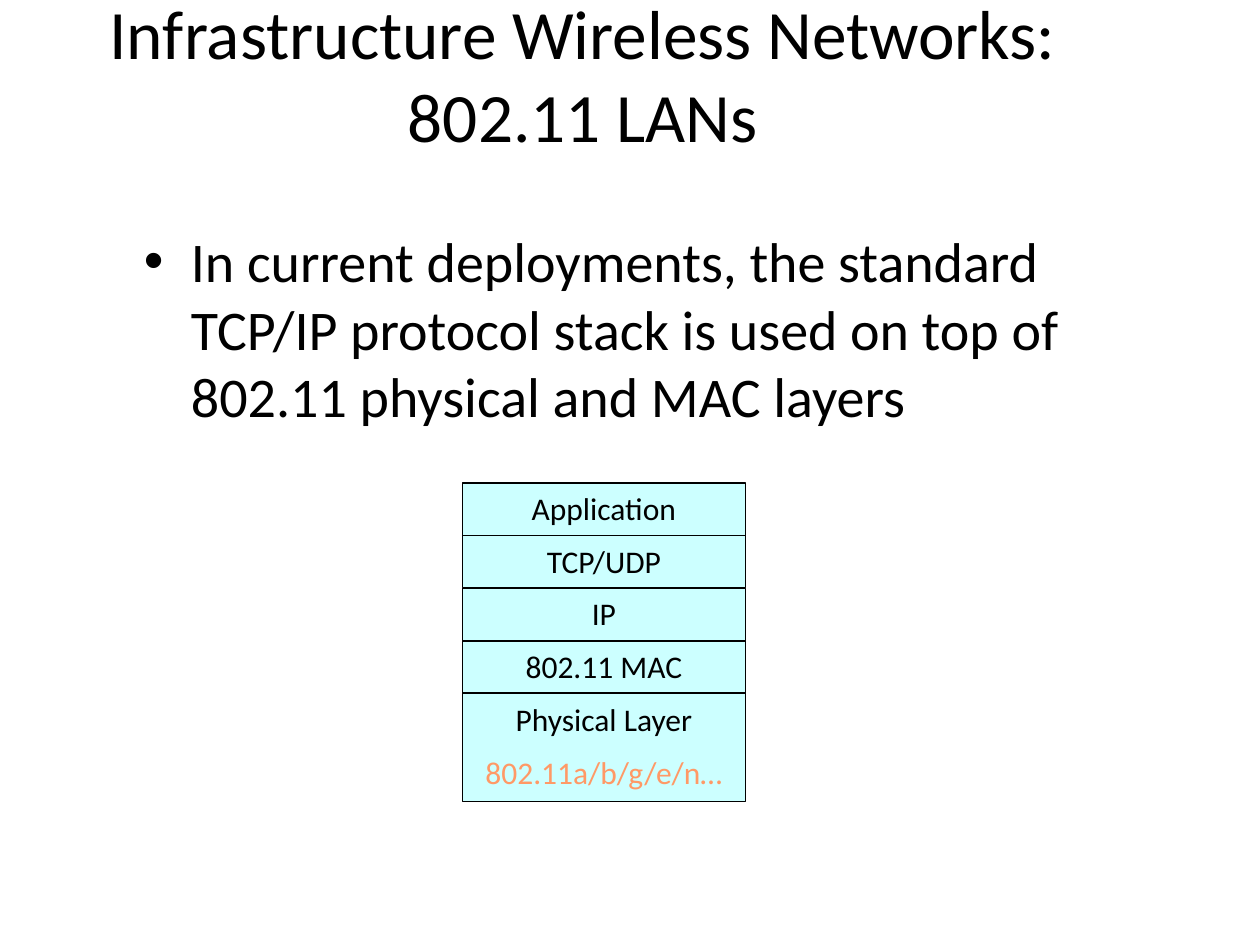
from dataclasses import dataclass

from lxml import etree
from pptx import Presentation
from pptx.dml.color import RGBColor
from pptx.enum.shapes import MSO_SHAPE
from pptx.enum.text import MSO_ANCHOR, PP_ALIGN
from pptx.oxml.ns import qn
from pptx.util import Cm, Pt

FONT = "Calibri"
COLORS = {"ink": "000000", "layer": "CCFFFF", "standards": "FF9966"}

STACK_LEFT, STACK_TOP, STACK_WIDTH = 9.32, 9.74, 5.71
LAYER_PITCH = 1.06


@dataclass
class Layer:
    name: str
    standards: str = ""
    height: float = 1.05


LAYERS = [
    Layer("Application"),
    Layer("TCP/UDP"),
    Layer("IP"),
    Layer("802.11 MAC"),
    Layer("Physical Layer", "802.11a/b/g/e/n…", 2.18),
]


def color(key: str) -> RGBColor:
    return RGBColor.from_string(COLORS[key])


def format_runs(paragraph, size: float, color_key: str = "ink") -> None:
    for run in paragraph.runs:
        run.font.name = FONT
        run.font.size = Pt(size)
        run.font.color.rgb = color(color_key)


def add_text(slide, text: str, left: float, top: float, width: float,
             height: float, size: float):
    frame = slide.shapes.add_textbox(
        Cm(left), Cm(top), Cm(width), Cm(height)).text_frame
    frame.word_wrap = True
    frame.text = text
    format_runs(frame.paragraphs[0], size)
    return frame


def add_bullet(paragraph, indent: float) -> None:
    properties = paragraph._p.get_or_add_pPr()
    properties.set("marL", str(Cm(indent)))
    properties.set("indent", str(-Cm(indent)))
    etree.SubElement(properties, qn("a:buFont"), typeface="Arial")
    etree.SubElement(properties, qn("a:buChar"), char="•")


def add_layer(slide, layer: Layer, top: float) -> None:
    box = slide.shapes.add_shape(
        MSO_SHAPE.RECTANGLE, Cm(STACK_LEFT), Cm(top),
        Cm(STACK_WIDTH), Cm(layer.height))
    box.shadow.inherit = False
    box.fill.solid()
    box.fill.fore_color.rgb = color("layer")
    box.line.color.rgb = color("ink")
    box.line.width = Pt(0.75)

    frame = box.text_frame
    frame.vertical_anchor = MSO_ANCHOR.TOP
    frame.text = layer.name
    format_runs(frame.paragraphs[0], 18)
    if layer.standards:
        standards = frame.add_paragraph()
        standards.text = layer.standards
        standards.space_before = Pt(9)
        format_runs(standards, 18, "standards")
    for paragraph in frame.paragraphs:
        paragraph.alignment = PP_ALIGN.CENTER


def main() -> None:
    presentation = Presentation()
    presentation.slide_width, presentation.slide_height = Cm(25.4), Cm(19.05)
    slide = presentation.slides.add_slide(presentation.slide_layouts[6])

    # Title
    title = add_text(slide, "Infrastructure Wireless Networks: 802.11 LANs",
                     0, 0, 23.5, 2.97, 39.6)
    title.vertical_anchor = MSO_ANCHOR.MIDDLE
    title.paragraphs[0].alignment = PP_ALIGN.CENTER

    # Bulleted statement
    statement = add_text(
        slide,
        "In current deployments, the standard TCP/IP protocol stack is used "
        "on top of 802.11 physical and MAC layers",
        2.65, 4.45, 21.27, 4.45, 32)
    statement.paragraphs[0].space_before = Pt(6.4)
    add_bullet(statement.paragraphs[0], 0.95)

    # Protocol stack, built from the physical layer upwards
    for row, layer in reversed(list(enumerate(LAYERS))):
        add_layer(slide, layer, STACK_TOP + row * LAYER_PITCH)

    presentation.save("out.pptx")


if __name__ == "__main__":
    main()
